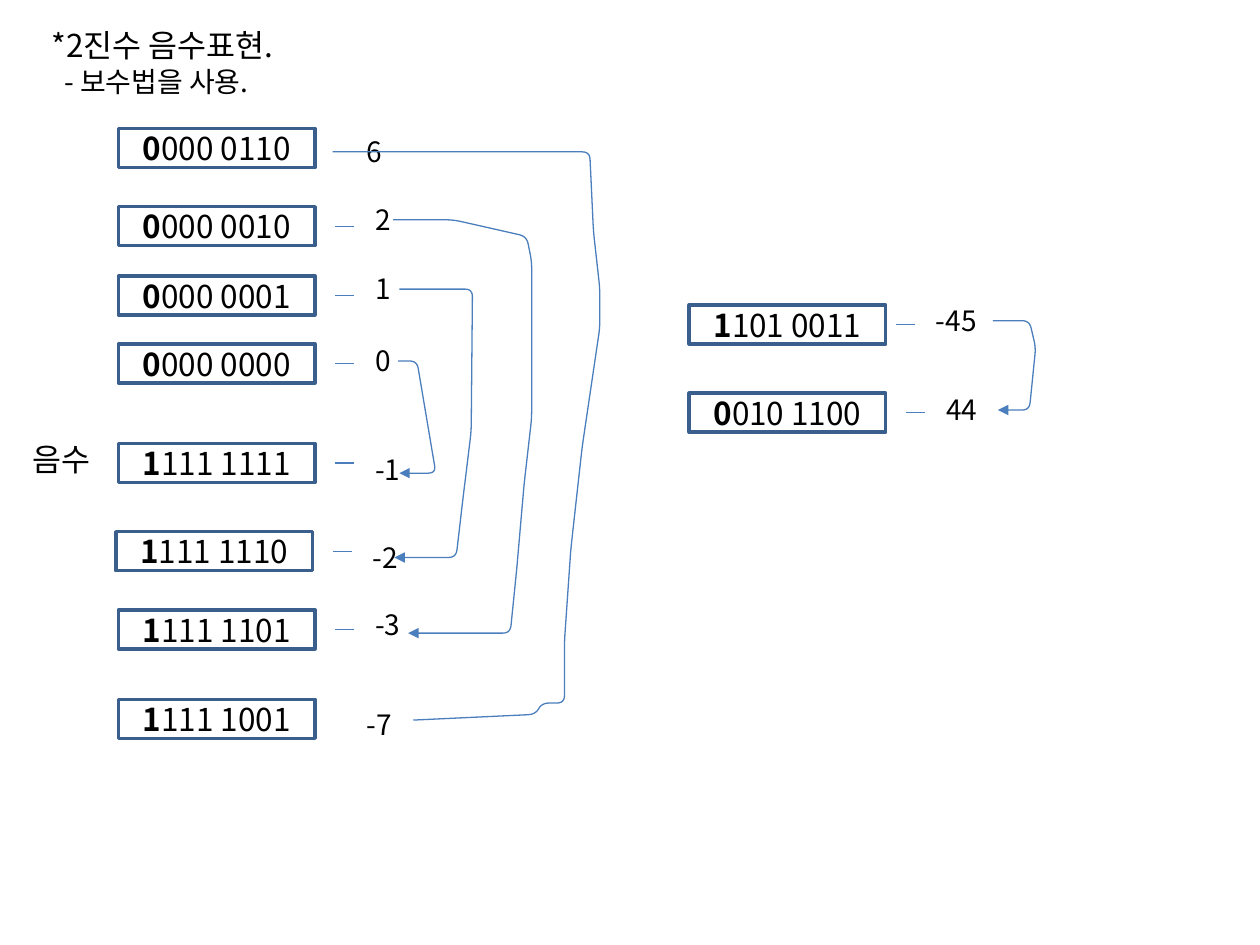
from collections import namedtuple
from math import dist

from lxml.etree import SubElement
from pptx import Presentation
from pptx.dml.color import RGBColor
from pptx.enum.shapes import MSO_CONNECTOR, MSO_SHAPE
from pptx.enum.text import MSO_ANCHOR, MSO_AUTO_SIZE, PP_ALIGN
from pptx.oxml.ns import qn
from pptx.util import Inches, Pt

FONT = "Noto Sans CJK KR"
COLORS = {"text": "000000", "border": "3A5F8C", "trace": "4B7EBC"}
BOX_WIDTH, BOX_HEIGHT = 1.56, 0.31
VALUE_HEIGHT = 0.37
DASH_OFFSET, DASH_LENGTH = 0.22, 0.15
CORNER_RADIUS, CORNER_STEPS = 0.06, 6

HEADING = "*2진수 음수표현."
SUBHEADING = "- 보수법을 사용."
NEGATIVE_LABEL = "음수"

Row = namedtuple("Row", "bits box_left box_top value value_left value_top dashed")
ROWS = [
    Row("0000 0110", 0.94, 1.02, "6", 2.81, 1.02, False),
    Row("0000 0010", 0.94, 1.64, "2", 2.88, 1.56, True),
    Row("0000 0001", 0.94, 2.19, "1", 2.88, 2.11, True),
    Row("0000 0000", 0.94, 2.73, "0", 2.88, 2.68, True),
    Row("1111 1111", 0.94, 3.52, "-1", 2.88, 3.54, True),
    Row("1111 1110", 0.92, 4.22, "-2", 2.86, 4.24, True),
    Row("1111 1101", 0.94, 4.84, "-3", 2.88, 4.77, True),
    Row("1111 1001", 0.94, 5.55, "-7", 2.81, 5.57, False),
    Row("1101 0011", 5.47, 2.42, "-45", 7.33, 2.36, True),
    Row("0010 1100", 5.47, 3.12, "44", 7.41, 3.07, True),
]

# Gaps run from the right edge of a value; a lane bends at (x, share of descent)
Trace = namedtuple("Trace", "source target source_gap target_gap target_drop arrow lane")
TRACES = [
    Trace("0", "-1", -0.05, -0.13, 0.03, True, [(3.31, 0), (3.46, 1)]),
    Trace("1", "-2", -0.04, -0.15, 0, True,
          [(3.75, 0), (3.74, 0.53), (3.68, 0.76), (3.62, 1)]),
    Trace("2", "-3", -0.09, -0.06, 0.07, True,
          [(3.6, 0), (4.18, 0.04), (4.22, 0.1), (4.22, 0.48), (4.16, 0.64),
           (4.1, 0.85), (4.05, 1)]),
    Trace("6", "-7", -0.5, 0.05, -0.04, False,
          [(4.68, 0), (4.71, 0.14), (4.76, 0.24), (4.76, 0.31), (4.62, 0.52),
           (4.53, 0.7), (4.48, 0.86), (4.48, 0.97), (4.3, 0.97), (4.25, 0.99)]),
    Trace("-45", "44", 0.01, 0.06, 0, True, [(8.17, 0), (8.22, 0.3), (8.17, 1)]),
]


def write(paragraph, text, *, size, bold=False, align=PP_ALIGN.LEFT):
    paragraph.alignment = align
    run = paragraph.add_run()
    run.text = text
    run.font.name = FONT
    run.font.size = Pt(size)
    run.font.bold = bold
    run.font.color.rgb = RGBColor.from_string(COLORS["text"])
    SubElement(run.font._element, qn("a:ea"), typeface=FONT)


def fit(frame):
    frame.word_wrap = False
    frame.auto_size = MSO_AUTO_SIZE.SHAPE_TO_FIT_TEXT
    frame.vertical_anchor = MSO_ANCHOR.TOP


def style_line(line, color, width):
    line.color.rgb = RGBColor.from_string(COLORS[color])
    line.width = Pt(width)


def value_width(row):
    digits = len(row.value.lstrip("-"))
    return 0.21 + 0.12 * digits + 0.09 * row.value.count("-")


def value_side(row, gap, drop=0):
    """Return the point beside the middle of a value's right edge."""
    return (row.value_left + value_width(row) + gap,
            row.value_top + VALUE_HEIGHT / 2 + drop)


def toward(corner, neighbour):
    """Return the point where rounding of a corner meets the side to a neighbour."""
    share = min(0.5, CORNER_RADIUS / dist(corner, neighbour))
    return tuple(c + (n - c) * share for c, n in zip(corner, neighbour))


def round_corners(points):
    """Replace every inner corner by a short quadratic curve."""
    rounded = [points[0]]
    for before, corner, after in zip(points, points[1:], points[2:]):
        enter, leave = toward(corner, before), toward(corner, after)
        for step in range(CORNER_STEPS + 1):
            t = step / CORNER_STEPS
            rounded.append(tuple(
                (1 - t) ** 2 * a + 2 * t * (1 - t) * b + t * t * c
                for a, b, c in zip(enter, corner, leave)))
    return rounded + [points[-1]]


def add_heading(slide):
    heading = slide.shapes.title
    heading.left, heading.top, heading.width, heading.height = map(
        Inches, (0.31, 0.16, 2.18, 0.67))
    frame = heading.text_frame
    fit(frame)
    write(frame.paragraphs[0], HEADING, size=18)
    subheading = frame.add_paragraph()
    write(subheading, SUBHEADING, size=16)
    subheading._p.get_or_add_pPr().set("marL", str(Inches(0.1)))


def add_label(slide, text, left, top, width, height, size):
    label = slide.shapes.add_textbox(*map(Inches, (left, top, width, height)))
    fit(label.text_frame)
    write(label.text_frame.paragraphs[0], text, size=size)


def add_bits(slide, row):
    box = slide.shapes.add_shape(MSO_SHAPE.RECTANGLE, *map(
        Inches, (row.box_left, row.box_top, BOX_WIDTH, BOX_HEIGHT)))
    box.shadow.inherit = False
    box.fill.background()
    style_line(box.line, "border", 2)
    box.text_frame.vertical_anchor = MSO_ANCHOR.MIDDLE
    paragraph = box.text_frame.paragraphs[0]
    sign, magnitude = row.bits[0], row.bits[1:]
    write(paragraph, sign, size=18, bold=True, align=PP_ALIGN.CENTER)
    write(paragraph, magnitude, size=18, align=PP_ALIGN.CENTER)


def add_dash(slide, row):
    left = row.value_left - DASH_OFFSET
    middle = row.box_top + BOX_HEIGHT / 2
    dash = slide.shapes.add_connector(MSO_CONNECTOR.STRAIGHT, *map(
        Inches, (left, middle, left + DASH_LENGTH, middle)))
    style_line(dash.line, "trace", 0.75)
    SubElement(dash._element.spPr, qn("a:effectLst"))


def add_trace(slide, trace, rows):
    start = value_side(rows[trace.source], trace.source_gap)
    end = value_side(rows[trace.target], trace.target_gap, trace.target_drop)
    descent = end[1] - start[1]
    bends = [(x, start[1] + share * descent) for x, share in trace.lane]
    first, *rest = [(Inches(x), Inches(y))
                    for x, y in round_corners([start, *bends, end])]
    builder = slide.shapes.build_freeform(*first)
    builder.add_line_segments(rest, close=False)
    curve = builder.convert_to_shape()
    curve.shadow.inherit = False
    curve.fill.background()
    style_line(curve.line, "trace", 0.75)
    if trace.arrow:
        SubElement(curve.line._get_or_add_ln(), qn("a:tailEnd"), type="triangle")


def main():
    """Build the slide on two's complement negative numbers."""
    deck = Presentation()
    deck.slide_width, deck.slide_height = Inches(10), Inches(7.5)
    slide = deck.slides.add_slide(deck.slide_layouts[5])
    add_heading(slide)
    add_label(slide, NEGATIVE_LABEL, 0.16, 3.44, 0.71, 0.4, 18)
    for row in ROWS:
        add_bits(slide, row)
        add_label(slide, row.value, row.value_left, row.value_top,
                  value_width(row), VALUE_HEIGHT, 16)
        if row.dashed:
            add_dash(slide, row)
    rows = {row.value: row for row in ROWS}
    for trace in TRACES:
        add_trace(slide, trace, rows)
    deck.save("out.pptx")


if __name__ == "__main__":
    main()
